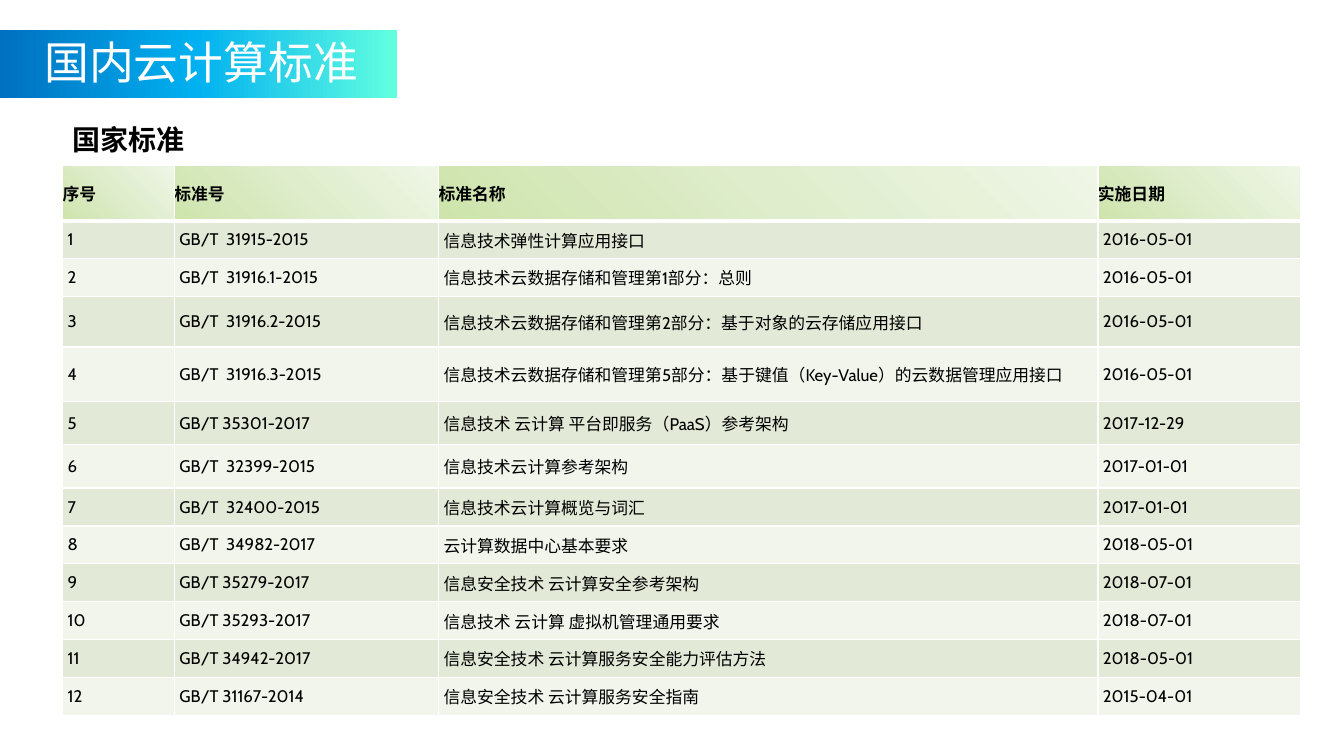
"""Build the slide listing the national cloud computing standards."""
from dataclasses import dataclass

from lxml import etree
from pptx import Presentation
from pptx.dml.color import RGBColor
from pptx.enum.shapes import MSO_SHAPE
from pptx.enum.text import MSO_ANCHOR, MSO_AUTO_SIZE
from pptx.oxml.ns import qn
from pptx.util import Inches, Pt

RECTANGLE = MSO_SHAPE.RECTANGLE
MIDDLE = MSO_ANCHOR.MIDDLE
GROW = MSO_AUTO_SIZE.SHAPE_TO_FIT_TEXT


@dataclass(frozen=True)
class Theme:
    latin: str = "Cabin"
    chinese: str = "Noto Sans CJK SC"
    black: str = "000000"
    white: str = "FFFFFF"
    bands: tuple = ("E2E9D7", "F1F5EC")
    header_stops: tuple = ((0, "CEE4AC"), (50, "DFEDCC"), (100, "EFF6E6"))
    banner_stops: tuple = ((0, "0070C0"), (49, "00B0F0"), (100, "62FFDF"))
    title_size: int = 32
    subtitle_size: int = 20
    table_size: int = 12


theme = Theme()


def write(text_frame, text, size, color, latin, bold=False):
    text_frame.text = text
    run = text_frame.paragraphs[0].runs[0]
    run.font.size = Pt(size)
    run.font.bold = bold
    run.font.name = latin
    run.font.color.rgb = RGBColor.from_string(color)
    east_asian = etree.Element(qn("a:ea"), typeface=theme.chinese)
    run.font._element.find(qn("a:latin")).addnext(east_asian)


def paint_gradient(fill, properties, stops, radial=False):
    fill.solid()
    gradient = etree.Element(qn("a:gradFill"), rotWithShape="1")
    stop_list = etree.SubElement(gradient, qn("a:gsLst"))
    for position, color in stops:
        stop = etree.SubElement(stop_list, qn("a:gs"), pos=str(position * 1000))
        etree.SubElement(stop, qn("a:srgbClr"), val=color)
    if radial:
        path_element = etree.SubElement(gradient, qn("a:path"), path="circle")
        etree.SubElement(path_element, qn("a:fillToRect"), l="0", t="100000", r="100000", b="0")
    else:
        etree.SubElement(gradient, qn("a:lin"), ang="0", scaled="0")
    properties.replace(properties.find(qn("a:solidFill")), gradient)


presentation = Presentation()
presentation.slide_width = Inches(13.33)
presentation.slide_height = Inches(7.5)
slide = presentation.slides.add_slide(presentation.slide_layouts[6])

subtitle = slide.shapes.add_textbox(Inches(0.62), Inches(1), Inches(8.98), Inches(0.6))
subtitle.text_frame.word_wrap = True
subtitle.text_frame.auto_size = GROW
write(subtitle.text_frame, "国家标准", theme.subtitle_size, theme.black, theme.chinese, bold=True)
subtitle.text_frame.paragraphs[0].line_spacing = 1.5

standards = [
    ("序号", "标准号", "标准名称", "实施日期"),
    ("1", "GB/T  31915-2015", "信息技术弹性计算应用接口", "2016-05-01"),
    ("2", "GB/T  31916.1-2015", "信息技术云数据存储和管理第1部分：总则", "2016-05-01"),
    ("3", "GB/T  31916.2-2015", "信息技术云数据存储和管理第2部分：基于对象的云存储应用接口", "2016-05-01"),
    ("4", "GB/T  31916.3-2015", "信息技术云数据存储和管理第5部分：基于键值（Key-Value）的云数据管理应用接口", "2016-05-01"),
    ("5", "GB/T 35301-2017", "信息技术 云计算 平台即服务（PaaS）参考架构", "2017-12-29"),
    ("6", "GB/T  32399-2015", "信息技术云计算参考架构", "2017-01-01"),
    ("7", "GB/T  32400-2015", "信息技术云计算概览与词汇", "2017-01-01"),
    ("8", "GB/T  34982-2017", "云计算数据中心基本要求", "2018-05-01"),
    ("9", "GB/T 35279-2017", "信息安全技术 云计算安全参考架构", "2018-07-01"),
    ("10", "GB/T 35293-2017", "信息技术 云计算 虚拟机管理通用要求", "2018-07-01"),
    ("11", "GB/T 34942-2017", "信息安全技术 云计算服务安全能力评估方法", "2018-05-01"),
    ("12", "GB/T 31167-2014", "信息安全技术 云计算服务安全指南", "2015-04-01"),
]
column_widths = [1.11, 2.62, 6.54, 2.01]
tall_rows = {0: 0.55, 3: 0.5, 4: 0.54, 5: 0.43, 6: 0.43}
table_height = 5.46
plain_height = (table_height - sum(tall_rows.values())) / (len(standards) - len(tall_rows))

table = slide.shapes.add_table(
    len(standards), len(column_widths),
    Inches(0.62), Inches(1.64), Inches(sum(column_widths)), Inches(table_height),
).table
for column, width in zip(table.columns, column_widths):
    column.width = Inches(width)

for row_index, standard in enumerate(standards):
    is_header = row_index == 0
    table.rows[row_index].height = Inches(tall_rows.get(row_index, plain_height))
    for column_index, text in enumerate(standard):
        cell = table.cell(row_index, column_index)
        write(cell.text_frame, text, theme.table_size, theme.black, theme.latin, bold=is_header)
        cell.vertical_anchor = MIDDLE
        margin = Inches(0 if is_header else 0.05)
        cell.margin_left = cell.margin_right = cell.margin_top = cell.margin_bottom = margin
        properties = cell._tc.get_or_add_tcPr()
        if is_header:
            paint_gradient(cell.fill, properties, theme.header_stops, radial=True)
        else:
            cell.fill.solid()
            cell.fill.fore_color.rgb = RGBColor.from_string(theme.bands[(row_index - 1) % 2])
        for order, side in enumerate(("a:lnL", "a:lnR", "a:lnT", "a:lnB")):
            is_header_rule = (row_index, side) in ((0, "a:lnB"), (1, "a:lnT"))
            border = etree.Element(qn(side), w=str(Pt(3 if is_header_rule else 1)))
            border_fill = etree.SubElement(border, qn("a:solidFill"))
            etree.SubElement(border_fill, qn("a:srgbClr"), val=theme.white)
            properties.insert(order, border)

banner = slide.shapes.add_shape(RECTANGLE, Inches(-0.01), Inches(0.3), Inches(3.95), Inches(0.67))
banner.shadow.inherit = False
banner.line.fill.background()
paint_gradient(banner.fill, banner._element.spPr, theme.banner_stops)

title = slide.shapes.add_textbox(Inches(0.34), Inches(0.3), Inches(3.61), Inches(0.64))
title.text_frame.word_wrap = True
title.text_frame.auto_size = GROW
write(title.text_frame, "国内云计算标准", theme.title_size, theme.white, theme.chinese)

presentation.save("out.pptx")
